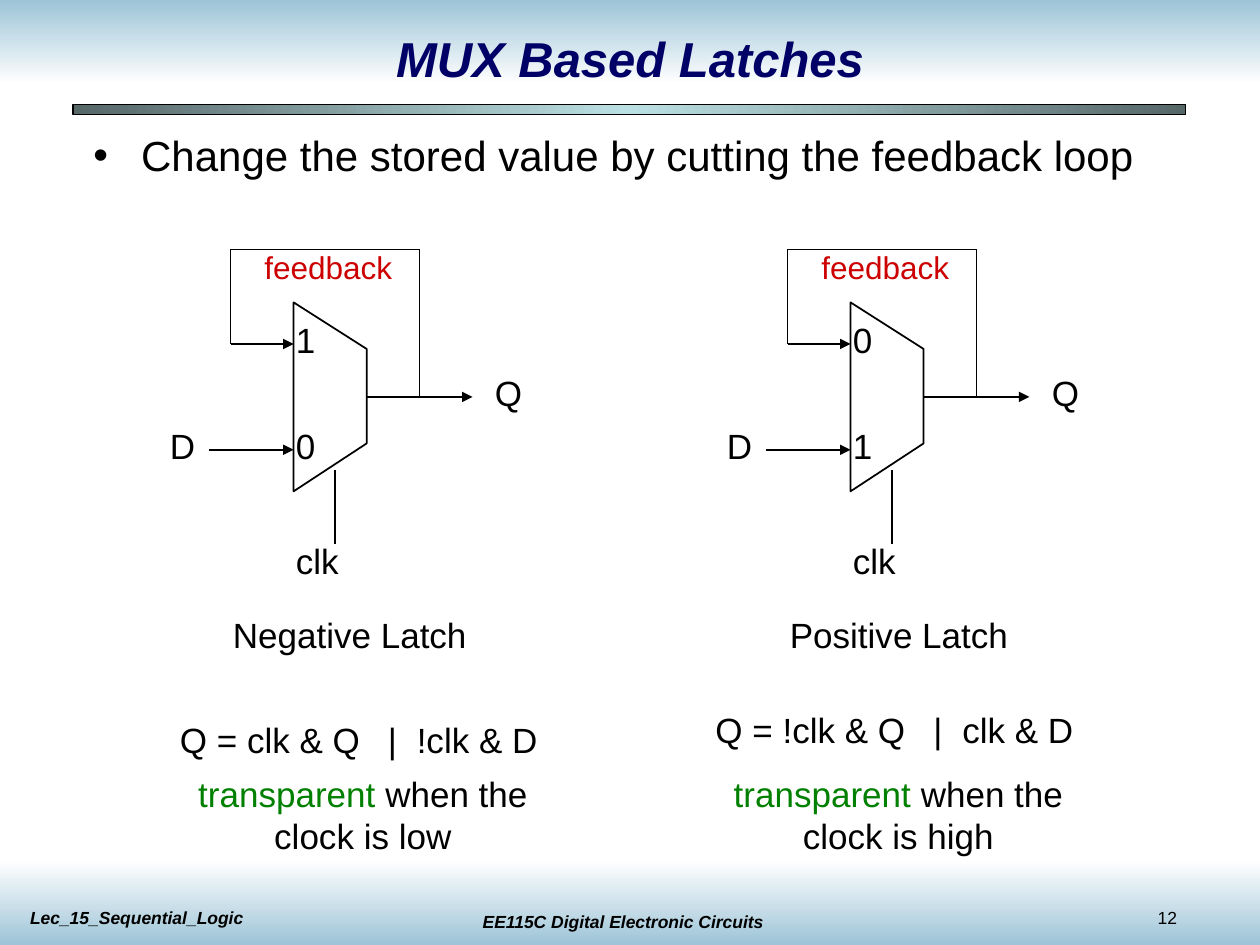
import copy

import pptx
import pptx.dml.color
import pptx.enum.shapes
import pptx.enum.text
import pptx.oxml.ns
import pptx.util

Inches = pptx.util.Inches
Pt = pptx.util.Pt
qn = pptx.oxml.ns.qn
LEFT = pptx.enum.text.PP_ALIGN.LEFT
CENTER = pptx.enum.text.PP_ALIGN.CENTER

BLACK, NAVY, RED, GREEN = "000000", "000066", "CC0000", "008000"
SKY, WHITE, SLATE, PALE = "9DC4D7", "FFFFFF", "566768", "BBE0E3"

# Box (left, top, width, height), gradient colours, angle, outline
BANDS = [
    ((0, 0, 10, 0.67), (SKY, WHITE), 270, None),
    ((0, 6.83, 10, 0.67), (WHITE, SKY), 270, None),
    ((0.58, 0.83, 8.83, 0.08), (SLATE, PALE, SLATE), 0, BLACK),
]
TITLE = "MUX Based Latches"
BULLET = "Change the stored value by cutting the feedback loop"
FOOTERS = [
    ("Lec_15_Sequential_Logic", (0.14, 7.15, 2.83, 0.27), LEFT, True),
    ("EE115C Digital Electronic Circuits", (3.53, 7.18, 2.83, 0.27), CENTER, True),
    ("12", (9.09, 7.15, 0.83, 0.27), LEFT, False),
]
LATCHES = [
    {"x": 2.33, "name": "Negative Latch", "name_width": 2.07, "inputs": ("1", "0"),
     "equation": "Q = clk & Q\t|\t!clk & D", "equation_at": (1.33, 5.65),
     "tabs": (1.65, 1.88), "clock": "low", "note_left": 1.17},
    {"x": 6.75, "name": "Positive Latch", "name_width": 1.95, "inputs": ("0", "1"),
     "equation": "Q = !clk & Q\t|\tclk & D", "equation_at": (5.58, 5.57),
     "tabs": (1.73, 1.96), "clock": "high", "note_left": 5.42},
]

# Latch geometry: x is measured from the left edge of the multiplexer
MUX = [(0, 3.9), (0, 2.4), (0.58, 2.77), (0.58, 3.52)]
TOP_INPUT, OUTPUT, BOTTOM_INPUT, LOOP_TOP = 2.73, 3.15, 3.57, 1.98
LOOP_LEFT, LOOP_RIGHT = -0.5, 1
WIRES = [  # from, to, arrowhead
    ((-0.67, BOTTOM_INPUT), (0, BOTTOM_INPUT), True),
    ((LOOP_LEFT, TOP_INPUT), (0, TOP_INPUT), True),
    ((0.58, OUTPUT), (1.42, OUTPUT), True),
    ((LOOP_RIGHT, OUTPUT), (LOOP_RIGHT, LOOP_TOP), False),
    ((LOOP_LEFT, TOP_INPUT), (LOOP_LEFT, LOOP_TOP), False),
    ((LOOP_RIGHT, LOOP_TOP), (LOOP_LEFT, LOOP_TOP), False),
    ((0.33, 4.32), (0.33, 3.73), False),
]
LABELS = [  # text, x, top, width, height, size, colour
    ("Q", 1.5, 2.9, 0.41, 0.44, 20, BLACK),
    ("D", -1.08, 3.32, 0.4, 0.44, 20, BLACK),
    ("clk", -0.08, 4.23, 0.54, 0.44, 20, BLACK),
    ("feedback", -0.33, 1.92, 1.23, 0.4, 18, RED),
]


def rgb(value):
    return pptx.dml.color.RGBColor.from_string(value)


def add_band(slide, box, colours, angle, outline):
    shape = slide.shapes.add_shape(
        pptx.enum.shapes.MSO_SHAPE.RECTANGLE, *map(Inches, box))
    shape.shadow.inherit = False
    shape.fill.gradient()
    shape.fill.gradient_angle = angle
    stop_list = shape._element.spPr.find(".//" + qn("a:gsLst"))
    while len(stop_list) < len(colours):
        stop_list.append(copy.deepcopy(stop_list[-1]))
    for index, (stop, colour) in enumerate(zip(shape.fill.gradient_stops, colours)):
        stop.color.rgb = rgb(colour)
        stop.position = index / (len(colours) - 1)
    if outline:
        shape.line.color.rgb = rgb(outline)
        shape.line.width = Pt(0.75)
    else:
        shape.line.fill.background()


def add_text(slide, box, runs, size, align=LEFT, wrap=True, bold_italic=False,
             margins=(0.1, 0.05), middle=False):
    """Add a one-paragraph text box from (text, colour) runs; return the paragraph."""
    frame = slide.shapes.add_textbox(*map(Inches, box)).text_frame
    frame.word_wrap = wrap
    frame.margin_left = frame.margin_right = Inches(margins[0])
    frame.margin_top = frame.margin_bottom = Inches(margins[1])
    if middle:
        frame.vertical_anchor = pptx.enum.text.MSO_ANCHOR.MIDDLE
    else:
        frame.auto_size = pptx.enum.text.MSO_AUTO_SIZE.SHAPE_TO_FIT_TEXT
    paragraph = frame.paragraphs[0]
    paragraph.alignment = align
    for text, colour in runs:
        run = paragraph.add_run()
        run.text = text
        run.font.name = "Arial"
        run.font.size = Pt(size)
        run.font.bold = run.font.italic = bold_italic
        run.font.color.rgb = rgb(colour)
    return paragraph


def add_bullet(paragraph, indent):
    properties = paragraph._p.get_or_add_pPr()
    properties.set("marL", str(Inches(indent)))
    properties.set("indent", str(-Inches(indent)))
    for tag, attributes in (("a:buFont", {"typeface": "Arial"}),
                            ("a:buChar", {"char": "•"})):
        properties.append(properties.makeelement(qn(tag), attributes))


def add_tabs(paragraph, positions):
    properties = paragraph._p.get_or_add_pPr()
    tab_list = properties.makeelement(qn("a:tabLst"), {})
    for position in positions:
        tab_list.append(tab_list.makeelement(
            qn("a:tab"), {"pos": str(Inches(position)), "algn": "l"}))
    properties.append(tab_list)


def add_wire(slide, start, end, arrow):
    wire = slide.shapes.add_connector(
        pptx.enum.shapes.MSO_CONNECTOR.STRAIGHT, *map(Inches, start + end))
    wire.line.color.rgb = rgb(BLACK)
    wire.line.width = Pt(1)
    if arrow:
        line = wire.line._get_or_add_ln()
        line.append(line.makeelement(qn("a:tailEnd"), {"type": "triangle"}))
    properties = wire._element.spPr
    properties.append(properties.makeelement(qn("a:effectLst"), {}))


def add_mux(slide, left):
    points = [(Inches(left + x), Inches(y)) for x, y in MUX]
    builder = slide.shapes.build_freeform(*points[0])
    builder.add_line_segments(points[1:], close=True)
    mux = builder.convert_to_shape()
    mux.shadow.inherit = False
    mux.fill.background()
    mux.line.color.rgb = rgb(BLACK)
    mux.line.width = Pt(1)


def add_latch(slide, latch):
    left = latch["x"]
    add_mux(slide, left)
    for (x1, y1), (x2, y2), arrow in WIRES:
        add_wire(slide, (left + x1, y1), (left + x2, y2), arrow)
    top_input, bottom_input = latch["inputs"]
    labels = LABELS + [
        (top_input, -0.08, 2.48, 0.35, 0.44, 20, BLACK),
        (bottom_input, -0.08, 3.32, 0.35, 0.44, 20, BLACK),
        (latch["name"], -0.58, 4.82, latch["name_width"], 0.44, 20, BLACK),
    ]
    for text, x, top, width, height, size, colour in labels:
        add_text(slide, (left + x, top, width, height), [(text, colour)], size, wrap=False)
    equation = add_text(slide, latch["equation_at"] + (3.1, 0.44),
                        [(latch["equation"], BLACK)], 20)
    add_tabs(equation, latch["tabs"])
    add_text(slide, (latch["note_left"], 6.08, 3.42, 0.77),
             [("transparent", GREEN), (f" when the clock is {latch['clock']}", BLACK)],
             20, CENTER)


def main():
    presentation = pptx.Presentation()
    presentation.slide_width = Inches(10)
    presentation.slide_height = Inches(7.5)
    slide = presentation.slides.add_slide(presentation.slide_layouts[6])
    for band in BANDS:
        add_band(slide, *band)
    for text, box, align, bold_italic in FOOTERS:
        add_text(slide, box, [(text, BLACK)], 10, align, bold_italic=bold_italic)
    add_text(slide, (0.75, 0.17, 8.5, 0.58), [(TITLE, NAVY)], 28, CENTER,
             bold_italic=True, middle=True)
    bullet = add_text(slide, (0.67, 1, 8.92, 0.46), [(BULLET, BLACK)], 24,
                      margins=(0.07, 0.03))
    add_bullet(bullet, 0.38)
    for latch in LATCHES:
        add_latch(slide, latch)
    presentation.save("out.pptx")


if __name__ == "__main__":
    main()
